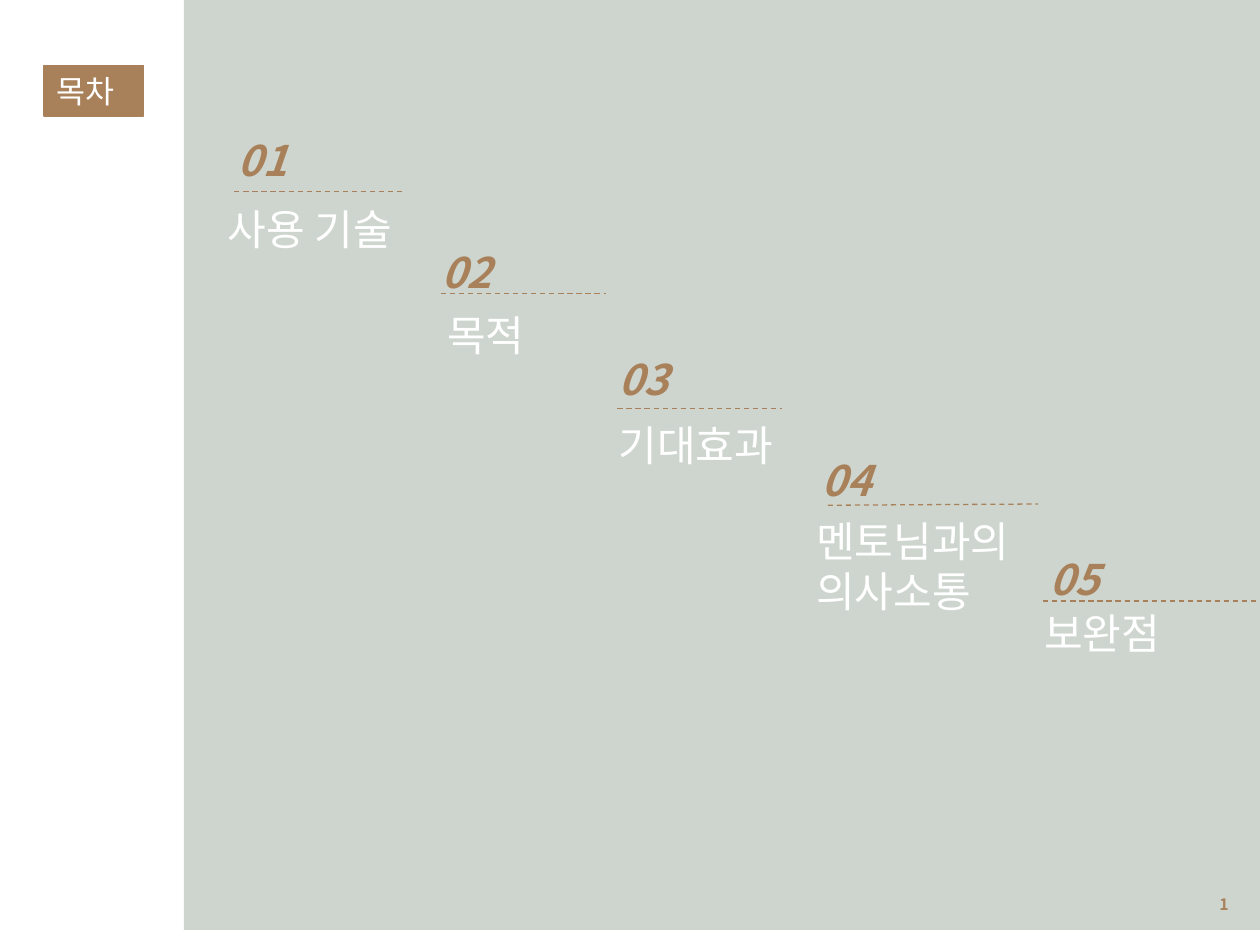
from dataclasses import dataclass

from lxml.etree import SubElement
from pptx import Presentation
from pptx.dml.color import RGBColor
from pptx.enum.dml import MSO_LINE_DASH_STYLE as Dash
from pptx.enum.shapes import MSO_CONNECTOR as Connector, MSO_SHAPE as Shape
from pptx.enum.text import MSO_ANCHOR as Anchor, MSO_AUTO_SIZE as AutoSize, PP_ALIGN as Align
from pptx.oxml.ns import qn
from pptx.util import Inches, Pt

CELL = 0.1  # inches; the slide is 100 columns by 75 rows
COLUMNS, ROWS = 100, 75
TEXT_HEIGHT = 5


@dataclass(frozen=True)
class Theme:
    font: str = "Noto Sans CJK KR"
    accent: RGBColor = RGBColor(0xA8, 0x81, 0x5A)
    panel: RGBColor = RGBColor(0xCE, 0xD5, 0xCE)
    light: RGBColor = RGBColor(0xFF, 0xFF, 0xFF)
    entry_size: float = 24
    title_size: float = 18
    page_size: float = 9
    line_width: float = 0.75


@dataclass(frozen=True)
class Box:
    column: float
    row: float
    width: float
    height: float = TEXT_HEIGHT

    def lengths(self) -> list:
        return [cells(n) for n in (self.column, self.row, self.width, self.height)]


@dataclass(frozen=True)
class Entry:
    """One step of the contents: its number, dashed rule and heading."""
    heading: str
    number_box: Box
    heading_box: Box
    rule_start: tuple[float, float]
    rule_end: tuple[float, float]


THEME = Theme()
ENTRIES = [
    Entry("사용 기술", Box(17.9, 10.2, 10.9), Box(17.1, 15.7, 19.1), (18.6, 15.2), (32, 15.2)),
    Entry("목적", Box(34.1, 19.1, 12.6), Box(34.5, 24.1, 14.6), (35, 23.3), (48.1, 23.3)),
    Entry("기대효과", Box(48.1, 27.6, 12.6), Box(48.1, 32.8, 26), (49, 32.4), (62.1, 32.4)),
    Entry("멘토님과의\n의사소통", Box(64.2, 35.6, 12.6), Box(63.8, 40.4, 26, 9.1),
          (65.7, 40.1), (82.4, 40)),
    Entry("보완점", Box(82.3, 43.4, 12.6), Box(81.9, 47.7, 26), (82.8, 47.7), (100, 47.7)),
]


def cells(count: float) -> Inches:
    return Inches(count * CELL)


def style_font(font, size: float, color: RGBColor, strong: bool = False,
               slanted: bool = False) -> None:
    font.name = THEME.font
    font.size = Pt(size)
    font.bold = strong
    font.italic = slanted
    font.color.rgb = color


def style_text(text_frame, size: float, color: RGBColor, strong: bool = False,
               slanted: bool = False) -> None:
    for paragraph in text_frame.paragraphs:
        for run in paragraph.runs:
            style_font(run.font, size, color, strong, slanted)
            # Hangul takes its face from the East Asian font
            SubElement(run.font._element, qn("a:ea"), typeface=THEME.font)


def add_text(slide, box: Box, text: str, color: RGBColor, strong: bool = False) -> None:
    text_frame = slide.shapes.add_textbox(*box.lengths()).text_frame
    text_frame.word_wrap = True
    text_frame.auto_size = AutoSize.SHAPE_TO_FIT_TEXT
    text_frame.text = text
    style_text(text_frame, THEME.entry_size, color, strong, slanted=strong)


def add_rule(slide, start: tuple[float, float], end: tuple[float, float]) -> None:
    rule = slide.shapes.add_connector(Connector.STRAIGHT, *map(cells, start + end))
    rule.line.color.rgb = THEME.accent
    rule.line.width = Pt(THEME.line_width)
    rule.line.dash_style = Dash.DASH
    SubElement(rule._element.spPr, qn("a:effectLst"))


def add_panel(slide, box: Box) -> None:
    panel = slide.shapes.add_shape(Shape.RECTANGLE, *box.lengths())
    panel.shadow.inherit = False
    panel.fill.solid()
    panel.fill.fore_color.rgb = THEME.panel
    panel.line.fill.background()


def set_title(slide, box: Box, text: str) -> None:
    title = slide.shapes.title
    title.left, title.top, title.width, title.height = box.lengths()
    title.fill.solid()
    title.fill.fore_color.rgb = THEME.accent
    title.line.color.rgb = THEME.accent
    title.line.width = Pt(THEME.line_width)
    text_frame = title.text_frame
    text_frame.text = text
    text_frame.auto_size = AutoSize.NONE
    text_frame.margin_top = text_frame.margin_bottom = 0
    text_frame.vertical_anchor = Anchor.MIDDLE
    text_frame.paragraphs[0].alignment = Align.JUSTIFY
    style_text(text_frame, THEME.title_size, THEME.light)


def add_page_number(slide, box: Box) -> None:
    text_frame = slide.shapes.add_textbox(*box.lengths()).text_frame
    text_frame.word_wrap = True
    text_frame.vertical_anchor = Anchor.MIDDLE
    paragraph = text_frame.paragraphs[0]
    paragraph.alignment = Align.RIGHT
    paragraph.text = "1"
    style_text(text_frame, THEME.page_size, THEME.accent, strong=True)
    field = paragraph.runs[0]._r
    field.tag = qn("a:fld")
    field.set("id", "{B6F15528-21DE-4FAA-801E-634DDDAF4B2B}")
    field.set("type", "slidenum")


def add_entry(slide, number: int, entry: Entry) -> None:
    add_text(slide, entry.number_box, f"{number:02}", THEME.accent, strong=True)
    add_rule(slide, entry.rule_start, entry.rule_end)
    add_text(slide, entry.heading_box, entry.heading, THEME.light)


def main() -> None:
    presentation = Presentation()
    presentation.slide_width, presentation.slide_height = cells(COLUMNS), cells(ROWS)
    title_only = presentation.slide_layouts[5]
    slide = presentation.slides.add_slide(title_only)

    add_panel(slide, Box(14.6, -1.2, COLUMNS - 14.6, ROWS))
    add_page_number(slide, Box(75.2, 69.8, 23.3, 4))
    set_title(slide, Box(3.5, 5.2, 7.9, 4), "목차")
    for number, entry in enumerate(ENTRIES, start=1):
        add_entry(slide, number, entry)

    presentation.save("out.pptx")


if __name__ == "__main__":
    main()
